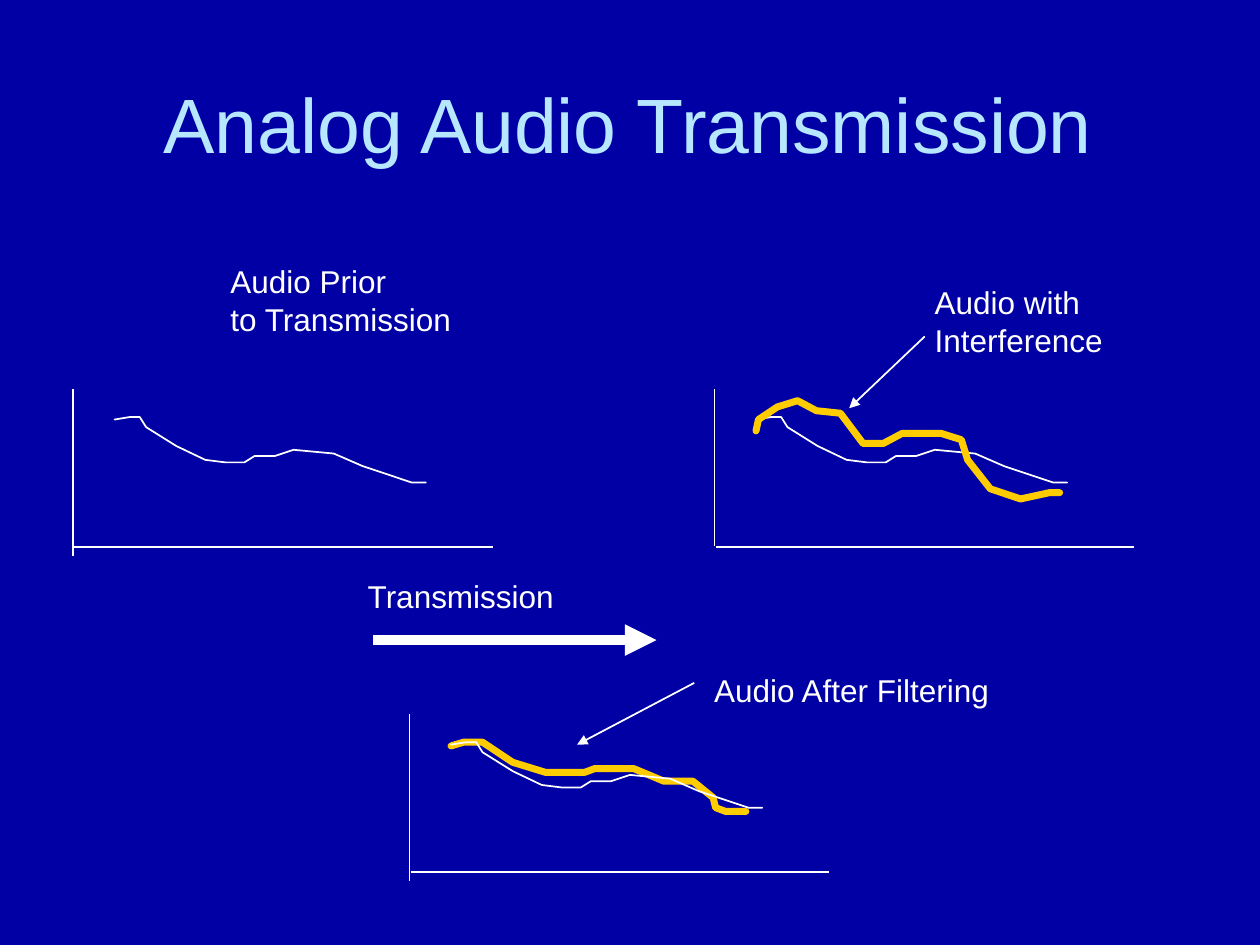
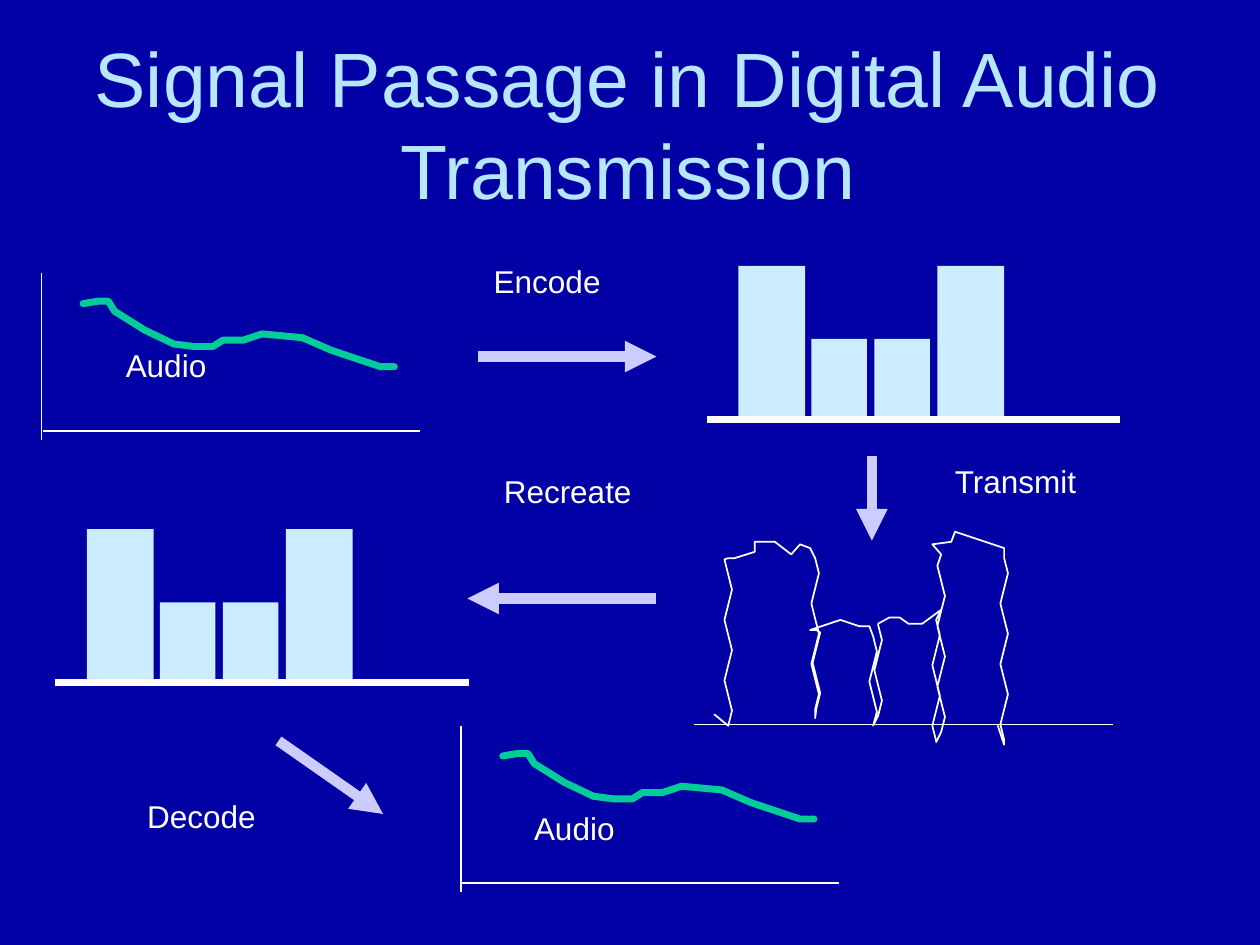
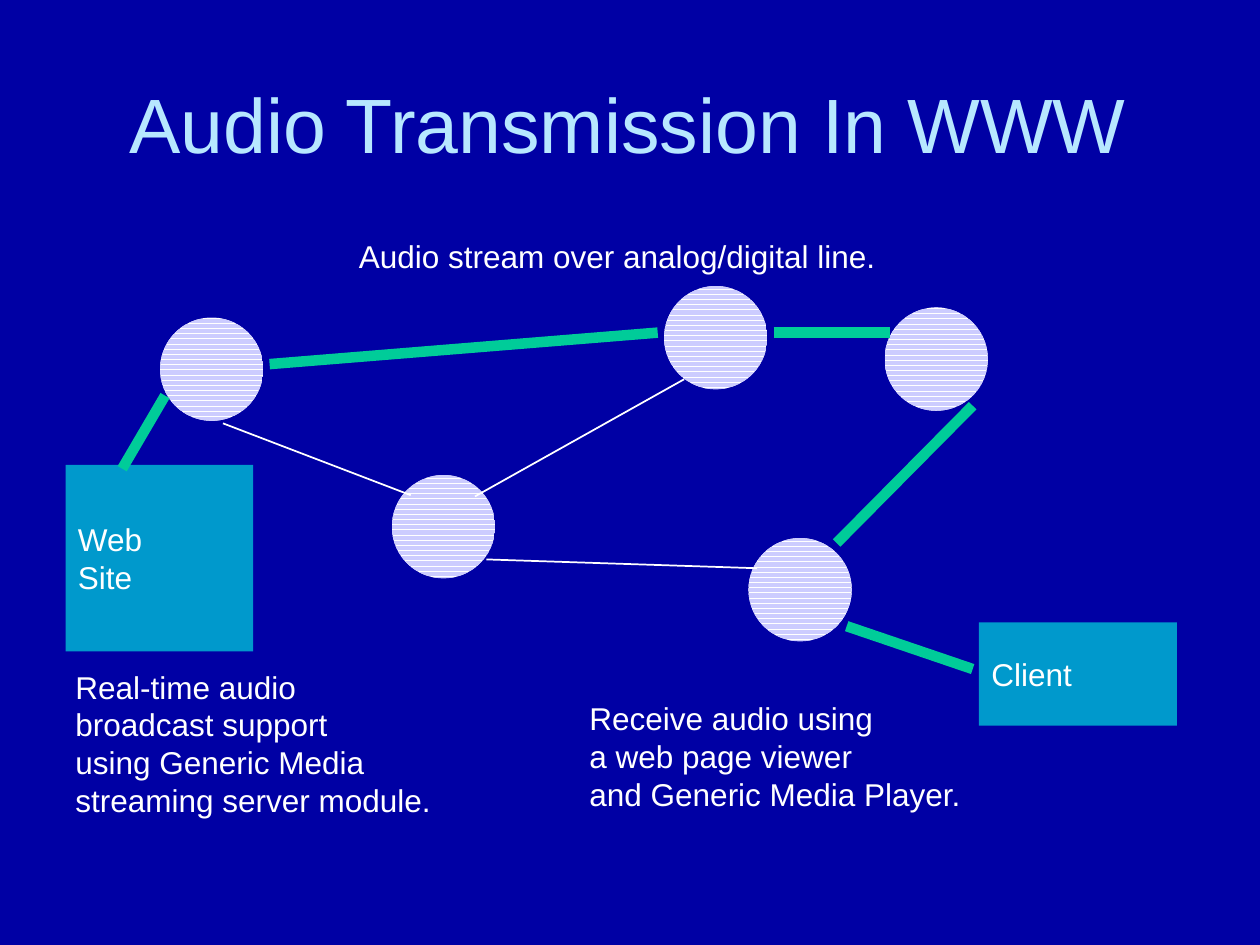
"""Build three slides on analog, digital and web audio transmission."""
from lxml.etree import SubElement
from pptx import Presentation
from pptx.dml.color import RGBColor
from pptx.enum.dml import MSO_PATTERN
from pptx.enum.shapes import MSO_CONNECTOR, MSO_SHAPE
from pptx.enum.text import MSO_ANCHOR, PP_ALIGN
from pptx.oxml.ns import qn
from pptx.util import Emu, Pt

PX = 9144
FONT = "Arial"
NAVY, WHITE, SKY, ICE = "0000A4", "FFFFFF", "B7E7FF", "CCECFF"
LILAC, GREEN, GOLD, TEAL = "CCCCFF", "00CC99", "FFCC00", "0099CC"
rgb = RGBColor.from_string

WAVE = [(0, 2), (12, 0), (20, 0), (25, 8), (49, 23), (72, 34), (88, 36), (103, 36),
        (111, 31), (127, 31), (142, 26), (174, 29), (197, 39), (236, 52), (247, 52)]
FILTERED = [(358, 592), (368, 589), (383, 589), (407, 605), (433, 613), (464, 613), (472, 610),
            (503, 610), (527, 620), (550, 620), (566, 633), (568, 641), (576, 644), (592, 644)]
INTERFERENCE = [(600, 342), (602, 333), (617, 323), (633, 318), (648, 326), (667, 328),
                (685, 352), (701, 352), (716, 344), (747, 344), (763, 349), (768, 365),
                (786, 388), (810, 396), (833, 391), (841, 391)]


def stroke(s, pts, color=WHITE, width=1, arrow=False):
    """Draw a connector through two points, or an open outline through more."""
    if len(pts) == 2:
        shp = s.shapes.add_connector(MSO_CONNECTOR.STRAIGHT, *[Emu(v * PX) for pt in pts for v in pt])
    else:
        fb = s.shapes.build_freeform(*pts[0], scale=PX)
        fb.add_line_segments(pts[1:], close=False)
        shp = fb.convert_to_shape()
        shp.fill.background()
    shp.line.color.rgb = rgb(color)
    shp.line.width = Pt(width)
    spPr = shp.element.spPr
    ln = spPr.find(qn("a:ln"))
    if len(pts) > 2:
        ln.set("cap", "rnd")
        SubElement(ln, qn("a:round"))
    if arrow:
        SubElement(ln, qn("a:tailEnd"), type="triangle")
    SubElement(spPr, qn("a:effectLst"))


def box(s, at, lines=(), fill=None, kind=MSO_SHAPE.RECTANGLE, size=18, color=WHITE,
        align=PP_ALIGN.LEFT, anchor=MSO_ANCHOR.TOP):
    """Add a filled shape, or a text box if there is no fill."""
    at = [Emu(v * PX) for v in at]
    if fill:
        shp = s.shapes.add_shape(kind, *at)
        shp.shadow.inherit = False
        shp.fill.solid()
        shp.fill.fore_color.rgb = rgb(fill)
        shp.line.fill.background()
    else:
        shp = s.shapes.add_textbox(*at)
    tf = shp.text_frame
    tf.word_wrap = True
    tf.vertical_anchor = anchor
    for i, line in enumerate(lines):
        p = tf.add_paragraph() if i else tf.paragraphs[0]
        p.alignment = align
        r = p.add_run()
        r.text = line
        r.font.name = FONT
        r.font.size = Pt(size)
        r.font.color.rgb = rgb(color)
    return shp


prs = Presentation()
prs.slide_width, prs.slide_height = Emu(1000 * PX), Emu(750 * PX)
slides = []
for title in ["Analog Audio Transmission", "Signal Passage in Digital Audio Transmission",
              "Audio Transmission In WWW"]:
    s = prs.slides.add_slide(prs.slide_layouts[6])
    s.background.fill.solid()
    s.background.fill.fore_color.rgb = rgb(NAVY)
    box(s, (33, 25, 931, 145), [title], size=44, color=SKY,
        align=PP_ALIGN.CENTER, anchor=MSO_ANCHOR.MIDDLE)
    slides.append(s)
analog, digital, web = slides

stroke(analog, FILTERED, GOLD, 4)
for s, x, y, height, width, color, weight in [
    (analog, 58, 309, 132, 332, WHITE, 1),
    (analog, 567, 309, 124, 332, WHITE, 1),
    (analog, 325, 567, 132, 332, WHITE, 1),
    (digital, 33, 217, 132, 299, GREEN, 4),
    (digital, 366, 576, 132, 299, GREEN, 4),
]:
    stroke(s, [(x, y), (x, y + height)])
    stroke(s, [(x + 1, y + 125), (x + 1 + width, y + 125)])
    stroke(s, [(x + 33 + dx, y + 22 + dy) for dx, dy in WAVE], color, weight)
stroke(analog, INTERFERENCE, GOLD, 4)

for s, start, end, color, width in [
    (analog, (296, 508), (521, 508), WHITE, 6),
    (analog, (734, 267), (674, 324), WHITE, 1),
    (analog, (551, 542), (458, 591), WHITE, 1),
    (digital, (379, 283), (521, 283), LILAC, 6),
    (digital, (692, 362), (692, 429), LILAC, 6),
    (digital, (521, 475), (371, 475), LILAC, 6),
    (digital, (221, 588), (304, 646), LILAC, 6),
]:
    stroke(s, [start, end], color, width, arrow=True)

for x, y in [(561, 333), (44, 542)]:
    stroke(digital, [(x, y), (x + 328, y)], width=4)
    for dx, w, h in [(25, 53, 119), (83, 44, 61), (133, 44, 61), (183, 53, 119)]:
        box(digital, (x + dx, y - 3 - h, w, h), fill=ICE)
stroke(digital, [(551, 575), (883, 575)])

noisy_bits = [(567, 567)]
for x, start, end, top in [
    (578, 576, 443, [(583, 443), (599, 438), (599, 430), (615, 430), (628, 440), (635, 432), (643, 435)]),
    (647, 443, 570, []),
    (648, 562, 500, [(643, 500), (667, 492), (682, 497), (690, 497)]),
    (693, 505, 576, []),
    (697, 568, 495, [(706, 490), (714, 490), (721, 495), (732, 495), (747, 484)]),
    (743, 492, 589, []),
    (747, 581, 440, [(740, 432), (755, 430), (758, 422), (797, 435)]),
    (797, 443, 591, [(792, 576)]),
]:
    step = 12 if end > start else -12
    for i, y in enumerate(range(start, end, step)):
        noisy_bits.append((x + (0, 3, 0, -3)[i % 4], y))
    noisy_bits += [(x, end)] + top
stroke(digital, noisy_bits)

for x, y in [(127, 252), (311, 377), (527, 227), (594, 427), (702, 244)]:
    node = box(web, (x, y, 82, 82), fill=LILAC, kind=MSO_SHAPE.OVAL)
    node.fill.patterned()
    node.fill.pattern = MSO_PATTERN.DARK_HORIZONTAL
    node.fill.fore_color.rgb = rgb(LILAC)
    node.fill.back_color.rgb = rgb(WHITE)
for at, lines in [((777, 494, 157, 82), ["Client"]), ((52, 369, 149, 148), ["Web", "Site"])]:
    box(web, at, lines, fill=TEAL, anchor=MSO_ANCHOR.MIDDLE)
for start, end in [((377, 394), (543, 301)), ((386, 444), (601, 451)), ((177, 336), (326, 393))]:
    stroke(web, [start, end])
for start, end in [((97, 372), (131, 314)), ((214, 289), (522, 264)), ((614, 264), (706, 264)),
                   ((772, 322), (664, 431)), ((672, 497), (772, 531))]:
    stroke(web, [start, end], GREEN, 6)

for s, x, y, width, lines in [
    (analog, 173, 203, 256, ["Audio Prior", "to Transmission"]),
    (analog, 732, 220, 197, ["Audio with", "Interference"]),
    (analog, 282, 453, 218, ["Transmission"]),
    (analog, 557, 528, 334, ["Audio After Filtering"]),
    (digital, 382, 203, 129, ["Encode"]),
    (digital, 748, 362, 154, ["Transmit"]),
    (digital, 390, 370, 145, ["Recreate"]),
    (digital, 107, 628, 131, ["Decode"]),
    (digital, 90, 270, 114, ["Audio"]),
    (digital, 414, 637, 114, ["Audio"]),
    (web, 275, 183, 592, ["Audio stream over analog/digital line."]),
    (web, 458, 550, 441, ["Receive audio using", "a web page viewer", "and Generic Media Player."]),
    (web, 50, 525, 398, ["Real-time audio", "broadcast support", "using Generic Media",
                         "streaming server module."]),
]:
    box(s, (x, y, width, 10 + 40 * len(lines)), lines)

prs.save("out.pptx")
